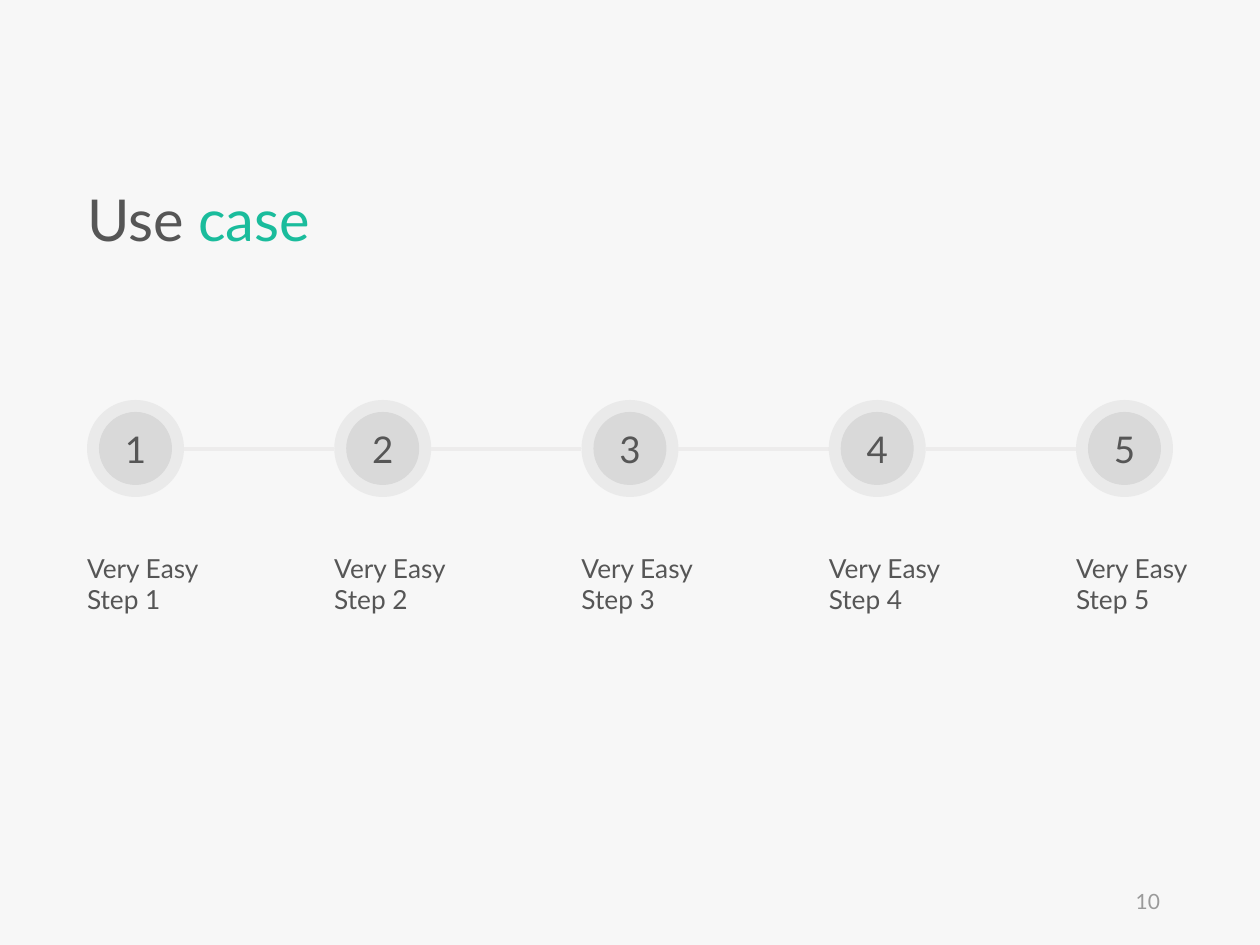
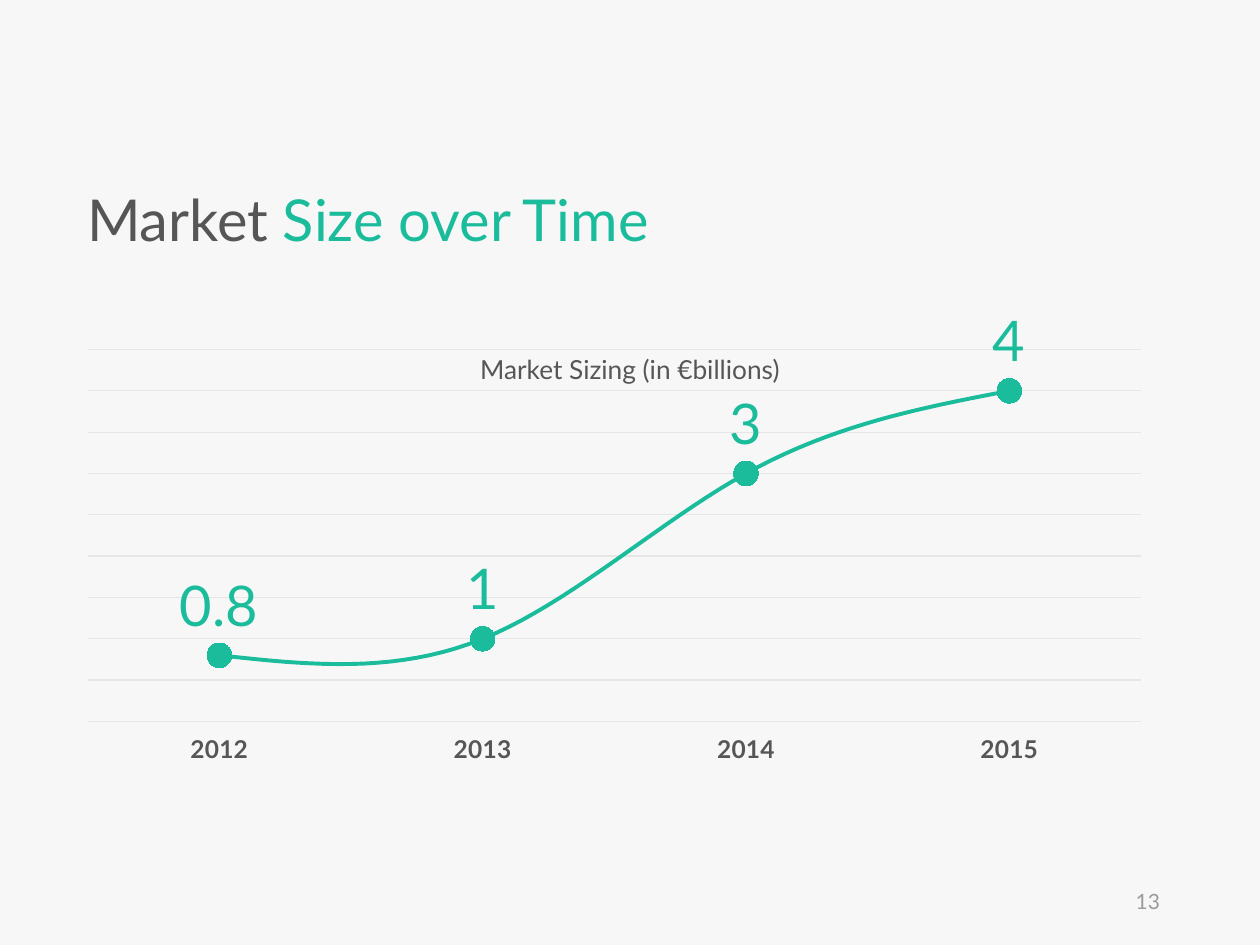
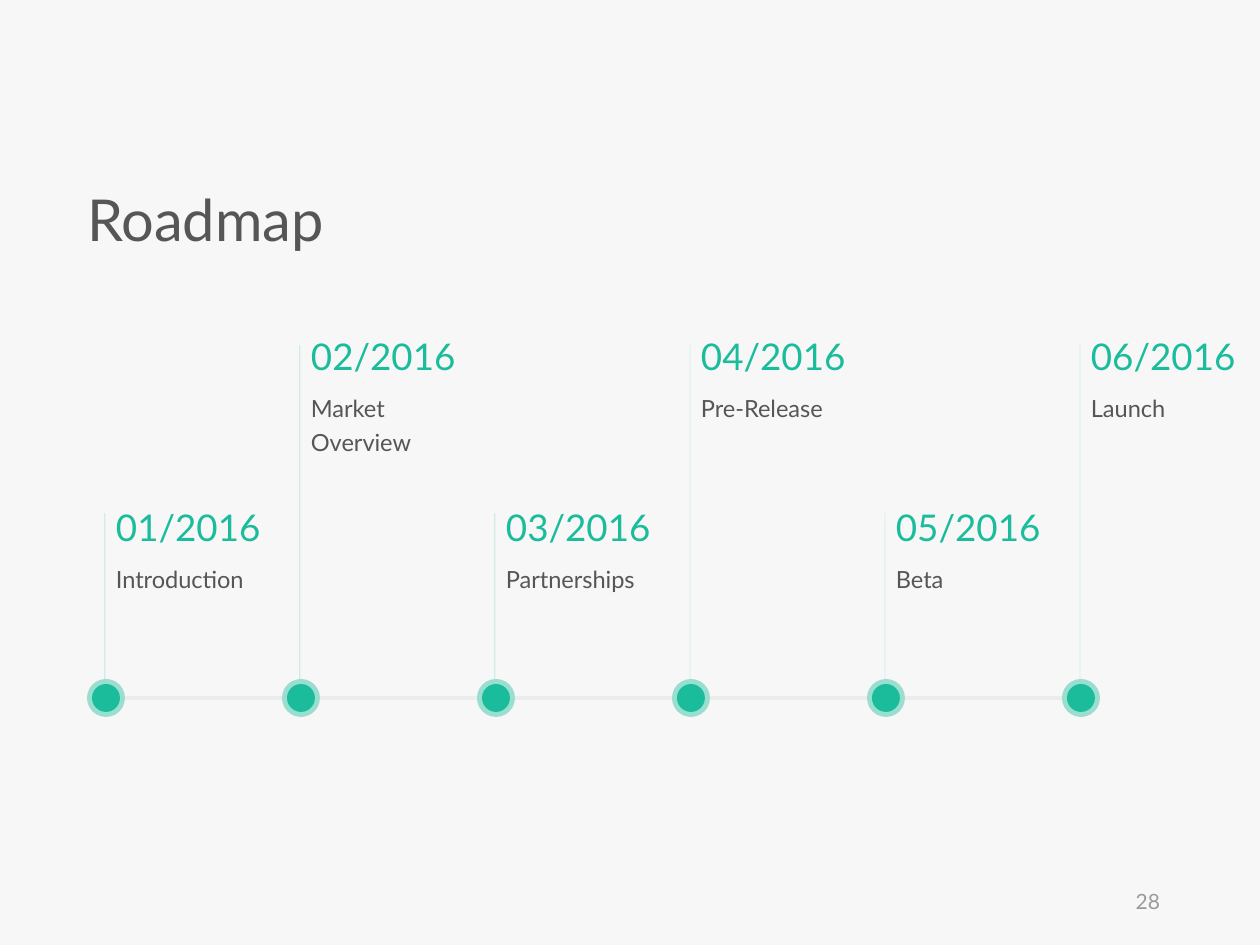
from lxml import etree
from pptx import Presentation
from pptx.chart.data import CategoryChartData
from pptx.dml.color import RGBColor
from pptx.enum.chart import (XL_CHART_TYPE, XL_LABEL_POSITION, XL_MARKER_STYLE,
                             XL_TICK_LABEL_POSITION, XL_TICK_MARK)
from pptx.enum.shapes import MSO_CONNECTOR, MSO_SHAPE
from pptx.enum.text import MSO_ANCHOR, MSO_AUTO_SIZE, PP_ALIGN
from pptx.oxml import parse_xml
from pptx.oxml.ns import nsdecls, qn
from pptx.util import Emu, Pt

# Shared look
FONT = "Lato"
PAPER = RGBColor(0xF7, 0xF7, 0xF7)
INK = RGBColor(0x56, 0x56, 0x56)
GREEN = RGBColor(0x1A, 0xBC, 0x9C)
GREY = RGBColor(0xD9, 0xD9, 0xD9)
RAIL = RGBColor(0xED, 0xEC, 0xEC)
GRID = RGBColor(0xE6, 0xE6, 0xE6)
PALE = RGBColor(0x9A, 0x9A, 0x9A)

OVAL = MSO_SHAPE.OVAL
LINE = MSO_CONNECTOR.STRAIGHT
LEFT, CENTER, RIGHT = PP_ALIGN.LEFT, PP_ALIGN.CENTER, PP_ALIGN.RIGHT
TOP, MIDDLE = MSO_ANCHOR.TOP, MSO_ANCHOR.MIDDLE
GROW = MSO_AUTO_SIZE.SHAPE_TO_FIT_TEXT
NONE = XL_TICK_MARK.NONE

# Boxes in px: left, top, width, height
WIDE, HIGH = 1260, 945
TITLE = (87, 186, 464, 76)
PAGE = (890, 876, 283, 50)
STEPS = (87, 400, 1086, 223)
CHART = (66, 295, 1086, 496)
NOTE = (404, 347, 452, 44)
ROAD = (87, 328, 1168, 389)


def px(num):
    return Emu(round(num * 914400 / 126))


def spots(box):
    return [px(num) for num in box]


def style(font, size, color, bold=False):
    font.name, font.size, font.bold = FONT, Pt(size), bold
    font.color.rgb = color


def write(shape, parts, size, align=LEFT, anchor=TOP, inset=13, space=None):
    """Fill a shape with one paragraph made of (text, colour) runs."""
    frame = shape.text_frame
    frame.word_wrap = True
    frame.vertical_anchor = anchor
    frame.margin_left, frame.margin_right = px(inset), px(13)
    frame.margin_top = frame.margin_bottom = px(6)
    para = frame.paragraphs[0]
    para.alignment = align
    if space:
        para.line_spacing = space
    for text, color in parts:
        run = para.add_run()
        run.text = text
        style(run.font, size, color)
    return frame


def label(slide, box, text, size, color=INK, **look):
    shape = slide.shapes.add_textbox(*spots(box))
    write(shape, [(text, color)], size, **look).auto_size = GROW


def fade(shape, share):
    for color in shape.element.spPr.iter(qn("a:srgbClr")):
        etree.SubElement(color, qn("a:alpha")).set("val", str(share * 1000))


def disc(shapes, left, top, size, color, share=None):
    shape = shapes.add_shape(OVAL, *spots((left, top, size, size)))
    shape.shadow.inherit = False
    shape.fill.solid()
    shape.fill.fore_color.rgb = color
    shape.line.fill.background()
    if share:
        fade(shape, share)
    return shape


def link(slide, start, end, color, width):
    line = slide.shapes.add_connector(LINE, *spots(start + end))
    line.line.color.rgb = color
    line.line.width = Pt(width)
    etree.SubElement(line.element.spPr, qn("a:effectLst"))
    return line


def page(deck, parts, num, width=TITLE[2]):
    """Add a slide with its title and page number."""
    slide = deck.slides.add_slide(deck.slide_layouts[5])
    title = slide.shapes.title
    left, top, _, high = TITLE
    title.left, title.top, title.width, title.height = spots((left, top, width, high))
    write(title, parts, 33, inset=0, space=0.9).auto_size = GROW
    foot = slide.shapes.add_textbox(*spots(PAGE))
    write(foot, [(num, PALE)], 12, align=RIGHT, anchor=MIDDLE)
    return slide


def steps(slide, box, count):
    """Numbered discs on a rail, each with a caption below."""
    left, top, width, _ = box
    size, core = 97, 73
    gap = (width - size) / (count - 1)
    pad = (size - core) // 2
    mid = top + size // 2 + 1
    for i in range(count):
        x, num = left + gap * i, str(i + 1)
        badge = slide.shapes.add_group_shape().shapes
        disc(badge, x + pad, top + pad, core, GREY)
        ring = disc(badge, x, top, size, GREY, 42)
        write(ring, [(num, INK)], 21, align=CENTER, anchor=MIDDLE)
        label(slide, (x, top + 146, 160, 77), f"Very Easy Step {num}", 15, inset=0)
        if i < count - 1:
            link(slide, (x + size, mid), (x + gap, mid), RAIL, 2.25)


def curve(slide, box, points):
    """Smooth line chart with large value labels."""
    data = CategoryChartData()
    data.categories = list(points)
    data.add_series("Series 1", list(points.values()))
    chart = slide.shapes.add_chart(XL_CHART_TYPE.LINE_MARKERS, *spots(box), data).chart
    chart.has_title = chart.has_legend = False
    style(chart.font, 10, INK)

    # Axes
    cats, vals = chart.category_axis, chart.value_axis
    cats.major_tick_mark = cats.minor_tick_mark = NONE
    cats.tick_label_position = XL_TICK_LABEL_POSITION.LOW
    style(cats.tick_labels.font, 14, INK, True)
    vals.minimum_scale, vals.maximum_scale, vals.major_unit = 0, 4.5, 0.5
    vals.visible = False
    vals.has_major_gridlines = True
    for line in (cats.format.line, vals.major_gridlines.format.line):
        line.color.rgb = GRID
        line.width = Pt(0.75)

    # Series and labels
    plot = chart.plots[0]
    plot.vary_by_categories = False
    row = plot.series[0]
    row.smooth = True
    row.format.line.color.rgb = GREEN
    row.format.line.width = Pt(2.25)
    row.marker.style, row.marker.size = XL_MARKER_STYLE.CIRCLE, 14
    row.marker.format.fill.solid()
    row.marker.format.fill.fore_color.rgb = GREEN
    row.marker.format.line.color.rgb = GREEN
    tags = row.data_labels
    tags.show_value = True
    tags.position = XL_LABEL_POSITION.ABOVE
    style(tags.font, 32, GREEN)

    # Fixed inner plot area
    area = chart.element.chart.plotArea
    for old in area.findall(qn("c:layout")):
        area.remove(old)
    rules = [("layoutTarget", "inner"), ("xMode", "edge"), ("yMode", "edge"),
             ("x", 0.02), ("y", 0.11), ("w", 0.97), ("h", 0.75)]
    body = "".join(f'<c:{tag} val="{val}"/>' for tag, val in rules)
    area.insert(0, parse_xml(f'<c:layout {nsdecls("c")}><c:manualLayout>{body}'
                             '</c:manualLayout></c:layout>'))


def road(slide, box, stops):
    """Timeline whose dated flags alternate between a low and a high row."""
    left, top, _, high = box
    size, core, gap = 38, 28, 195
    pad = (size - core) // 2
    base = top + high - size
    rows = ((171, 185), (0, 17))  # date and stem offsets: low, high
    for i, (date, text) in enumerate(stops):
        x = left + gap * i
        flag, (drop, stem) = x + 18, rows[i % 2]
        mark = slide.shapes.add_group_shape().shapes
        disc(mark, x, base, size, GREEN, 42)
        disc(mark, x + pad, base + pad, core, GREEN)
        if i < len(stops) - 1:
            mid = base + size // 2
            link(slide, (x + size, mid), (x + gap, mid), RAIL, 2.25)
        fade(link(slide, (flag, base), (flag, top + stem), GREEN, 0.25), 51)
        label(slide, (flag, top + drop, 175, 57), date, 21, GREEN, inset=11)
        label(slide, (flag, top + drop + 54, 175, 44), text, 13.5, inset=11, space=1.2)


def main():
    deck = Presentation()
    deck.slide_width, deck.slide_height = px(WIDE), px(HIGH)
    back = deck.slide_master.background.fill
    back.solid()
    back.fore_color.rgb = PAPER

    slide = page(deck, [("Use ", INK), ("case", GREEN)], "10")
    steps(slide, STEPS, 5)

    slide = page(deck, [("Market ", INK), ("Size over Time", GREEN)], "13", 643)
    curve(slide, CHART, {"2012": 0.8, "2013": 1, "2014": 3, "2015": 4})
    label(slide, NOTE, "Market Sizing (in €billions)", 15, align=CENTER)

    slide = page(deck, [("Roadmap", INK)], "28")
    names = ("Introduction", "Market Overview", "Partnerships",
             "Pre-Release", "Beta", "Launch")
    road(slide, ROAD, [(f"{i:02}/2016", name) for i, name in enumerate(names, 1)])

    deck.save("out.pptx")


if __name__ == "__main__":
    main()
